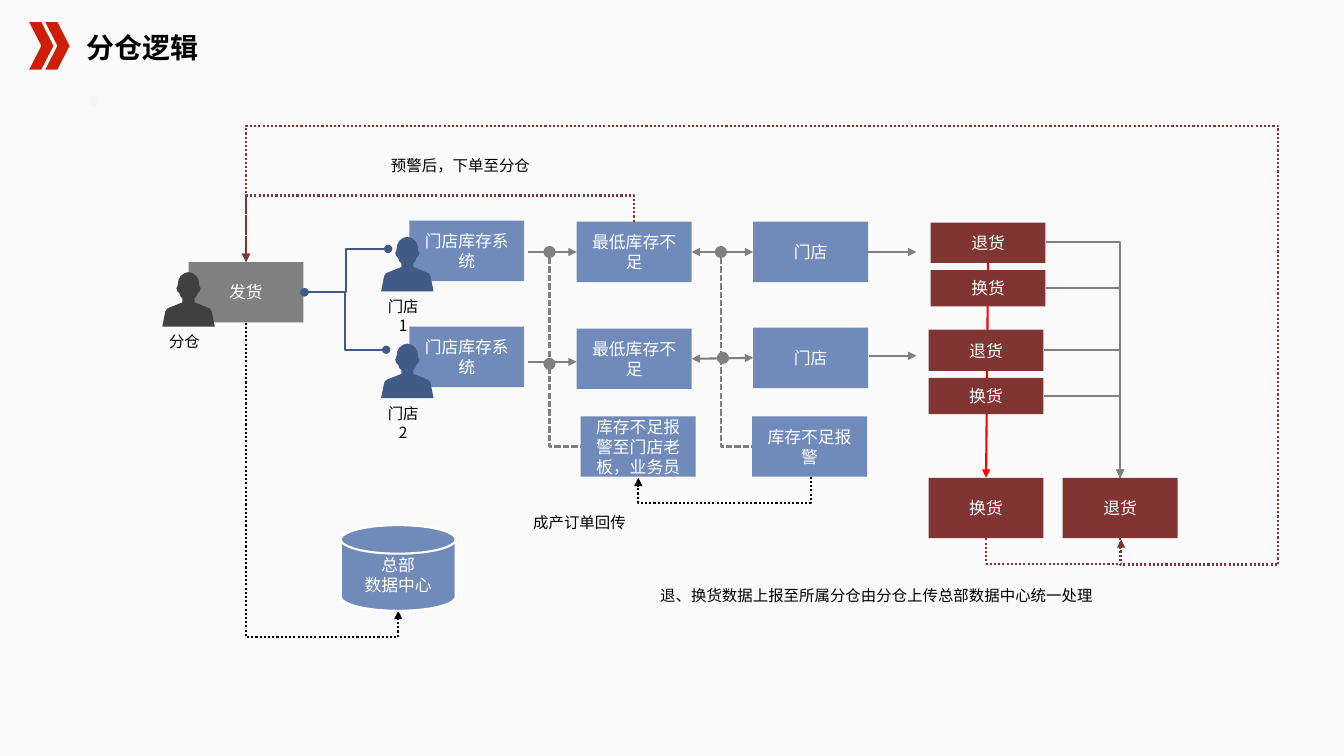
from lxml.etree import SubElement
from pptx import Presentation
from pptx.dml.color import RGBColor
from pptx.enum.dml import MSO_LINE
from pptx.enum.shapes import MSO_CONNECTOR, MSO_SHAPE
from pptx.enum.text import MSO_ANCHOR, PP_ALIGN
from pptx.oxml.ns import qn
from pptx.util import Inches, Pt

BLUE, NAVY, MAROON = "708BBA", "415A86", "813533"
GREY, BLACK, WHITE, RED = "7F7F7F", "000000", "FFFFFF", "FF0000"
CHINESE_FONT, TITLE_FONT = "Noto Sans CJK SC", "Roboto Condensed"
DOTTED, DASHED = MSO_LINE.ROUND_DOT, MSO_LINE.SQUARE_DOT
TOP, LEFT, BOTTOM, RIGHT = range(4)
BOX_WIDTH, BOX_HEIGHT = 1.14, 0.6

# Right half of the person outline, measured from the top of the head
PERSON_HALF = [(0, 0), (0.04, 0.01), (0.08, 0.04), (0.1, 0.08), (0.11, 0.14),
               (0.12, 0.16), (0.11, 0.19), (0.09, 0.21), (0.08, 0.24),
               (0.06, 0.26), (0.06, 0.3), (0.21, 0.36), (0.23, 0.39),
               (0.26, 0.54)]


def color(hex_value):
    return RGBColor.from_string(hex_value)


class FlowSlide:
    def __init__(self, presentation):
        self.slide = presentation.slides.add_slide(presentation.slide_layouts[5])
        self.shapes = self.slide.shapes
        fill = self.slide.background.fill
        fill.gradient()
        fill.gradient_angle = 270
        for stop, shade, position in zip(fill.gradient_stops,
                                         ("FAFAFA", "FCFCFC"), (0, 1)):
            stop.color.rgb = color(shade)
            stop.position = position

    def set_text(self, shape, text, size, ink, align, font=CHINESE_FONT, bold=False):
        paragraph = shape.text_frame.paragraphs[0]
        paragraph.text = text
        paragraph.alignment = align
        paragraph.font.size = Pt(size)
        paragraph.font.bold = bold
        paragraph.font.color.rgb = color(ink)
        paragraph.font.name = font
        properties = paragraph._p.pPr.find(qn("a:defRPr"))
        SubElement(properties, qn("a:ea")).set("typeface", CHINESE_FONT)

    def title(self, text, left, top, width, height):
        shape = self.shapes.title
        shape.left, shape.top = Inches(left), Inches(top)
        shape.width, shape.height = Inches(width), Inches(height)
        frame = shape.text_frame
        frame.margin_left = frame.margin_right = 0
        frame.margin_top = frame.margin_bottom = 0
        frame.vertical_anchor = MSO_ANCHOR.MIDDLE
        self.set_text(shape, text, 20, BLACK, PP_ALIGN.LEFT, TITLE_FONT, True)

    def paint(self, shape, fill):
        shape.shadow.inherit = False
        shape.fill.solid()
        shape.fill.fore_color.rgb = color(fill)
        shape.line.fill.background()

    def shape(self, kind, left, top, width, height, fill):
        shape = self.shapes.add_shape(kind, Inches(left), Inches(top),
                                      Inches(width), Inches(height))
        self.paint(shape, fill)
        return shape

    def box(self, text, left, top, fill=BLUE, height=BOX_HEIGHT,
            font=CHINESE_FONT, kind=MSO_SHAPE.RECTANGLE):
        shape = self.shape(kind, left, top, BOX_WIDTH, height, fill)
        shape.text_frame.word_wrap = True
        shape.text_frame.vertical_anchor = MSO_ANCHOR.MIDDLE
        self.set_text(shape, text, 12, WHITE, PP_ALIGN.CENTER, font)
        return shape

    def label(self, text, left, top, width, align=PP_ALIGN.LEFT):
        shape = self.shapes.add_textbox(Inches(left), Inches(top),
                                        Inches(width), Inches(0.28))
        shape.text_frame.word_wrap = True
        self.set_text(shape, text, 11, BLACK, align)

    def person(self, name, left, top, fill):
        center = left + 0.26
        right = [(center + x, top + y) for x, y in PERSON_HALF]
        mirrored = [(center - x, top + y) for x, y in reversed(PERSON_HALF[1:])]
        points = [(Inches(x), Inches(y)) for x, y in right + mirrored]
        builder = self.shapes.build_freeform(*points[0], scale=1.0)
        builder.add_line_segments(points[1:], close=True)
        self.paint(builder.convert_to_shape(), fill)
        self.label(name, left - 0.06, top + 0.55, 0.56, PP_ALIGN.CENTER)

    def dot(self, left, top):
        self.shape(MSO_SHAPE.OVAL, left, top, 0.12, 0.12, GREY)

    def connector(self, kind, start, end, ink, dash, head, tail):
        connector = self.shapes.add_connector(
            kind, *(Inches(value) for value in start + end))
        connector.line.width = Pt(1.5)
        connector.line.color.rgb = color(ink)
        if dash:
            connector.line.dash_style = dash
        line = connector.line._get_or_add_ln()
        for tag, mark in (("a:headEnd", head), ("a:tailEnd", tail)):
            if mark:
                SubElement(line, qn(tag)).set("type", mark)
        SubElement(connector._element.spPr, qn("a:effectLst"))
        return connector

    def arrow(self, start, end, ink=GREY, head=None, begin=None, finish=None):
        connector = self.connector(MSO_CONNECTOR.STRAIGHT, start, end, ink,
                                   None, head, "triangle")
        if begin:
            connector.begin_connect(*begin)
        if finish:
            connector.end_connect(*finish)

    def elbow(self, start, end, ink, bends=(), vertical=False, dash=None,
              head=None, tail=None):
        """Bends are the x or y levels of the inner segments, in order."""
        connector = self.connector(MSO_CONNECTOR.ELBOW, start, end, ink,
                                   dash, head, tail)
        first = 1 if vertical else 0
        spans = [end[axis] - start[axis] for axis in (0, 1)]
        width, height = abs(spans[first]), abs(spans[1 - first])
        connector.left = Inches((start[0] + end[0] - width) / 2)
        connector.top = Inches((start[1] + end[1] - height) / 2)
        connector.width, connector.height = Inches(width), Inches(height)
        frame = connector._element.spPr.xfrm
        frame.set("rot", "5400000" if vertical else "0")
        frame.set("flipH", str(int(spans[first] < 0)))
        frame.set("flipV", str(int((spans[1 - first] < 0) != vertical)))
        geometry = connector._element.spPr.find(qn("a:prstGeom"))
        geometry.set("prst", f"bentConnector{len(bends) + 2}")
        guides = geometry.find(qn("a:avLst"))
        for number, level in enumerate(bends):
            axis = (first + number) % 2
            ratio = (level - start[axis]) / spans[axis]
            guide = SubElement(guides, qn("a:gd"))
            guide.set("name", f"adj{number + 1}")
            guide.set("fmla", f"val {round(ratio * 100000)}")


def main():
    presentation = Presentation()
    presentation.slide_width, presentation.slide_height = Inches(13.33), Inches(7.5)
    flow = FlowSlide(presentation)

    # Header
    flow.shape(MSO_SHAPE.OVAL, 0.88, 0.95, 0.1, 0.1, "F6F6F6")
    for left in (0.29, 0.45):
        flow.shape(MSO_SHAPE.CHEVRON, left, 0.22, 0.24, 0.47, "CD1F06")
    flow.title("分仓逻辑", 0.86, 0.3, 3.44, 0.34)

    # Returns and exchanges, with the red arrow behind the middle boxes
    first_return = flow.box("退货", 9.23, 2.21, MAROON, 0.4)
    exchange_total = flow.box("换货", 9.21, 4.74, MAROON)
    flow.box("退货", 10.54, 4.74, MAROON, font=TITLE_FONT)
    flow.arrow((9.8, 2.61), (9.78, 4.74), RED, begin=(first_return, BOTTOM),
               finish=(exchange_total, TOP))
    flow.box("换货", 9.23, 2.68, MAROON, 0.36)
    flow.box("退货", 9.21, 3.27, MAROON, 0.41)
    flow.box("换货", 9.21, 3.75, MAROON, 0.36)
    for start, tail in (((10.37, 2.4), "triangle"), ((10.37, 2.86), "triangle"),
                        ((10.35, 3.47), None), ((10.35, 3.93), None)):
        flow.elbow(start, (11.11, 4.74), GREY, tail=tail)

    # Warehouse and data center
    flow.elbow((2.44, 3.2), (3.95, 6.06), BLACK, (6.32,), True, DOTTED,
               tail="triangle")
    data_center = flow.box("总部\n数据中心", 3.38, 5.21, height=0.85,
                           kind=MSO_SHAPE.FLOWCHART_MAGNETIC_DISK)
    data_center.line.color.rgb = color(WHITE)
    data_center.line.width = Pt(1.5)
    flow.box("发货", 1.87, 2.6, "808080")
    flow.person("分仓", 1.61, 2.7, "404040")

    # Store rows
    low_stock, stores = [], []
    rows = ((2.19, 2.35, 2.2, 2.2), (3.24, 3.41, 3.26, 3.25))
    for number, (system_top, person_top, stock_top, store_top) in enumerate(rows, 1):
        flow.box("门店库存系统", 4.06, system_top)
        flow.person(f"门店{number}", 3.78, person_top, NAVY)
        low_stock.append(flow.box("最低库存不足", 5.72, stock_top))
        stores.append(flow.box("门店", 7.47, store_top))
    for end, level in (((3.85, 2.47), 3.43), ((3.83, 3.47), 3.42)):
        flow.elbow((3.02, 2.9), end, NAVY, (level,), head="oval", tail="oval")
    for shortage, store, middle in zip(low_stock, stores, (2.5, 3.55)):
        flow.arrow((6.86, middle), (7.47, middle), head="triangle",
                   begin=(shortage, RIGHT), finish=(store, LEFT))
    flow.arrow((5.24, 2.5), (5.72, 2.5), finish=(low_stock[0], LEFT))
    flow.arrow((5.24, 3.59), (5.72, 3.59))
    flow.arrow((8.61, 2.5), (9.09, 2.5), begin=(stores[0], RIGHT))
    flow.arrow((8.62, 3.53), (9.09, 3.53))

    # Stock alarms
    flow.box("库存不足报警至门店老板，业务员", 5.76, 4.13)
    flow.box("库存不足报警", 7.46, 4.13)
    for x, end_x in ((5.45, 5.76), (7.15, 7.46)):
        flow.elbow((x, 2.56), (end_x, 4.43), GREY, vertical=True, dash=DASHED)
    for left, top in ((5.39, 2.44), (5.39, 3.55), (7.09, 2.44), (7.11, 3.49)):
        flow.dot(left, top)

    # Dotted feedback lines
    for start, end, ink, bends in (
            ((8.04, 4.73), (6.33, 4.74), BLACK, (4.99,)),
            ((9.78, 5.34), (11.12, 5.35), MAROON, (5.6,)),
            ((11.11, 5.34), (2.44, 2.6), MAROON, (5.6, 12.68, 1.25)),
            ((6.29, 2.2), (2.44, 2.6), MAROON, (1.94,))):
        flow.elbow(start, end, ink, bends, True, DOTTED, tail="triangle")

    # Captions
    flow.label("成产订单回传", 5.19, 5.04, 1.14)
    flow.label("预警后，下单至分仓", 3.78, 1.5, 1.87)
    flow.label("退、换货数据上报至所属分仓由分仓上传总部数据中心统一处理",
               6.43, 5.77, 4.53, PP_ALIGN.CENTER)

    presentation.save("out.pptx")


if __name__ == "__main__":
    main()
